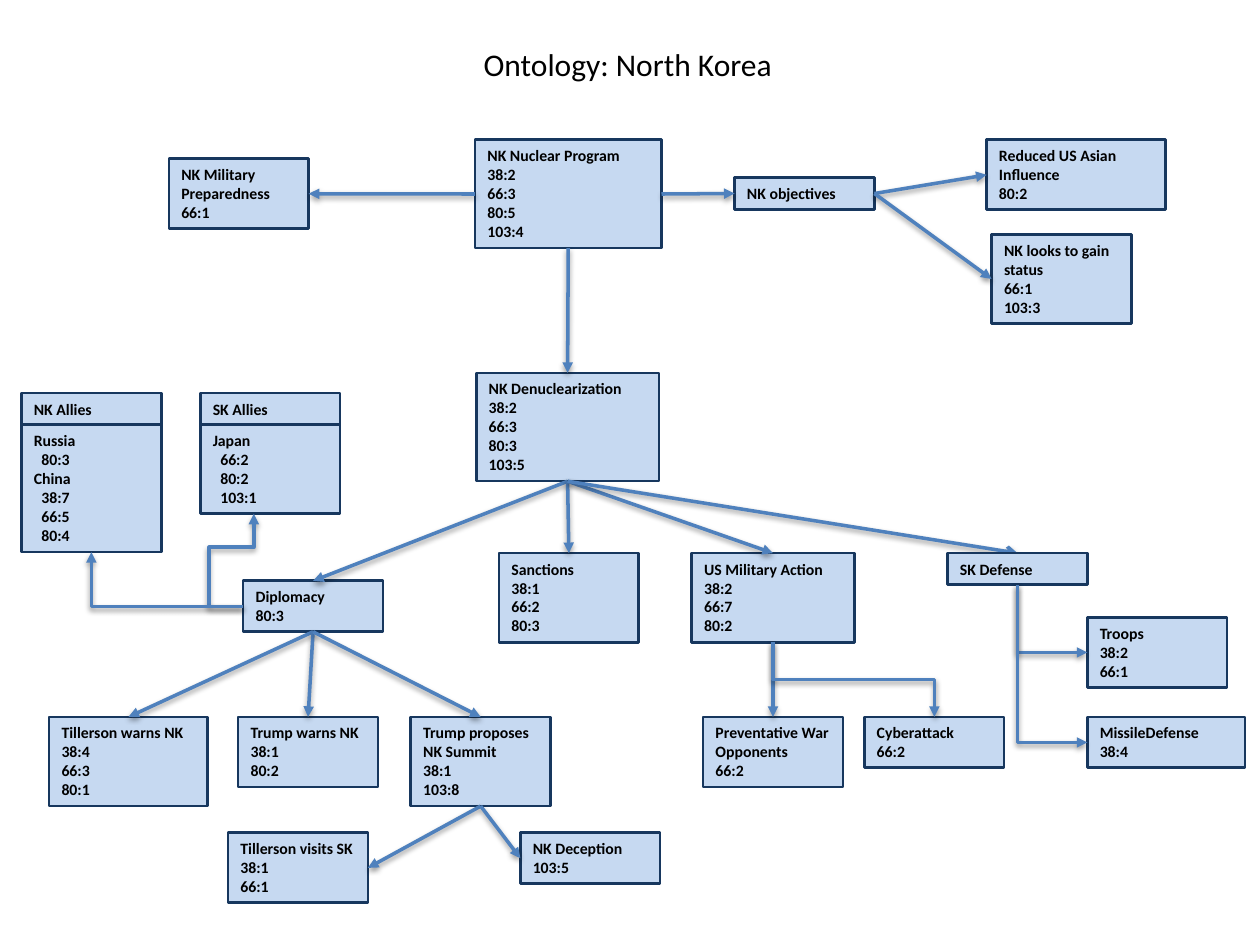
from lxml import etree
from pptx import Presentation
from pptx import util as u
from pptx.dml.color import RGBColor
from pptx.enum import shapes, text
from pptx.oxml import parse_xml
from pptx.oxml.ns import nsdecls, qn

NODE_FILL = RGBColor(0xC6, 0xD9, 0xF1)
NODE_LINE = RGBColor(0x17, 0x37, 0x5E)
ARROW = RGBColor(0x4F, 0x81, 0xBD)
BLACK = RGBColor(0, 0, 0)
FONT = "Calibri"
NODE_WIDTH = 1.11
TOP, LEFT, BOTTOM, RIGHT = range(4)
SHADOW = (
    f'<a:effectLst {nsdecls("a")}><a:outerShdw blurRad="40000" dist="20000" dir="5400000" '
    'rotWithShape="0"><a:srgbClr val="000000"><a:alpha val="38000"/></a:srgbClr>'
    '</a:outerShdw></a:effectLst>'
)


def format_text(text_frame, size, bold):
    for paragraph in text_frame.paragraphs:
        paragraph.alignment = text.PP_ALIGN.LEFT
        for run in paragraph.runs:
            run.font.name = FONT
            run.font.size = u.Pt(size)
            run.font.bold = bold
            run.font.color.rgb = BLACK


def add_node(slide, left, top, lines, width=NODE_WIDTH, wrapped=0, indented=False):
    """Add a box as tall as its lines; wrapped counts extra lines made by wrapping."""
    height = 0.1 + 0.152 * (len(lines) + wrapped)
    node = slide.shapes.add_shape(
        shapes.MSO_SHAPE.RECTANGLE,
        u.Inches(left), u.Inches(top), u.Inches(width), u.Inches(height))
    node.shadow.inherit = False
    node.fill.solid()
    node.fill.fore_color.rgb = NODE_FILL
    node.line.color.rgb = NODE_LINE
    node.line.width = u.Pt(1.5)
    frame = node.text_frame
    frame.word_wrap = True
    frame.auto_size = text.MSO_AUTO_SIZE.SHAPE_TO_FIT_TEXT
    frame.vertical_anchor = text.MSO_ANCHOR.TOP
    frame.text = "\n".join(lines)
    if indented:
        for paragraph in frame.paragraphs:
            if ":" in paragraph.text:
                paragraph._p.get_or_add_pPr().set("marL", str(u.Inches(0.06)))
    format_text(frame, 9, True)
    return node


def style_arrow(connector, head="triangle"):
    connector.line.color.rgb = ARROW
    connector.line.width = u.Pt(2)
    properties = connector._element.spPr
    etree.SubElement(properties.find(qn("a:ln")), qn("a:tailEnd"), type=head)
    properties.append(parse_xml(SHADOW))


def link(slide, source, target, source_side=BOTTOM, target_side=TOP, head="triangle"):
    connector = slide.shapes.add_connector(shapes.MSO_CONNECTOR.STRAIGHT, 0, 0, 0, 0)
    connector.begin_connect(source, source_side)
    connector.end_connect(target, target_side)
    style_arrow(connector, head)
    return connector


def side_point(node, side):
    x = {LEFT: 0, RIGHT: node.width}.get(side, node.width // 2)
    y = {TOP: 0, BOTTOM: node.height}.get(side, node.height // 2)
    return node.left + x, node.top + y


def add_elbow(slide, start, end, preset, rotation, flipped, adjustments=()):
    """Add a bent arrow; at 270 degrees its frame is stored with the sides swapped."""
    width, height = abs(end[0] - start[0]), abs(end[1] - start[1])
    center_x, center_y = (start[0] + end[0]) // 2, (start[1] + end[1]) // 2
    if rotation == 270:
        width, height = height, width
    left, top = center_x - width // 2, center_y - height // 2
    connector = slide.shapes.add_connector(
        shapes.MSO_CONNECTOR.ELBOW, left, top, left + width, top + height)
    transform = connector._element.spPr.find(qn("a:xfrm"))
    transform.set("rot", str(rotation * 60000))
    if flipped:
        transform.set("flipH", "1")
    geometry = connector._element.spPr.find(qn("a:prstGeom"))
    geometry.set("prst", preset)
    guides = geometry.find(qn("a:avLst"))
    for number, value in enumerate(adjustments, 1):
        name = f"adj{number}"
        etree.SubElement(guides, qn("a:gd"), name=name, fmla=f"val {round(value * 100000)}")
    style_arrow(connector)


def add_title(slide, left, top):
    box = slide.shapes.add_textbox(
        u.Inches(left), u.Inches(top), u.Inches(2.53), u.Inches(0.4))
    box.text_frame.word_wrap = False
    box.text_frame.auto_size = text.MSO_AUTO_SIZE.SHAPE_TO_FIT_TEXT
    box.text_frame.text = "Ontology: North Korea"
    format_text(box.text_frame, 18, False)


def add_program(slide, left, top):
    program = add_node(slide, left + 2.43, top,
                       ["NK Nuclear Program", "38:2", "66:3", "80:5", "103:4"], 1.48)
    military = add_node(slide, left, top + 0.15,
                        ["NK Military Preparedness", "66:1"], wrapped=1)
    objectives = add_node(slide, left + 4.49, top + 0.3, ["NK objectives"])
    influence = add_node(slide, left + 6.49, top,
                         ["Reduced US Asian Influence", "80:2"], 1.42, wrapped=1)
    status = add_node(slide, left + 6.53, top + 0.75,
                      ["NK looks to gain status", "66:1", "103:3"], wrapped=1)
    link(slide, program, military, LEFT, RIGHT)
    link(slide, program, objectives, RIGHT, LEFT)
    for outcome in (influence, status):
        link(slide, objectives, outcome, RIGHT, LEFT)
    return program


def add_allies(slide, left, top, heading, lines):
    add_node(slide, left, top, [heading])
    return add_node(slide, left, top + 0.25, lines, indented=True)


def add_diplomacy(slide, left, top, nk_allies, sk_allies):
    diplomacy = add_node(slide, left + 1.54, top, ["Diplomacy", "80:3"])
    row = top + 1.08
    warning = add_node(slide, left, row,
                       ["Tillerson warns NK", "38:4", "66:3", "80:1"], 1.26)
    threat = add_node(slide, left + 1.5, row, ["Trump warns NK", "38:1", "80:2"])
    summit = add_node(slide, left + 2.87, row,
                      ["Trump proposes NK Summit", "38:1", "103:8"], wrapped=1)
    visit = add_node(slide, left + 1.42, top + 2,
                     ["Tillerson visits SK", "38:1", "66:1"])
    deception = add_node(slide, left + 3.74, top + 2, ["NK Deception", "103:5"])
    for action in (warning, threat, summit):
        link(slide, diplomacy, action)
    link(slide, summit, visit, BOTTOM, RIGHT)
    link(slide, summit, deception, BOTTOM, LEFT)
    start = side_point(diplomacy, LEFT)
    sk_x, sk_y = side_point(sk_allies, BOTTOM)
    add_elbow(slide, start, (sk_x - u.Inches(0.13), sk_y),
              "bentConnector4", 180, True, (-3.17, 0.64))
    add_elbow(slide, start, side_point(nk_allies, BOTTOM), "bentConnector2", 180, False)
    return diplomacy


def add_us_action(slide, left, top):
    action = add_node(slide, left, top,
                      ["US Military Action", "38:2", "66:7", "80:2"], 1.29)
    war = add_node(slide, left + 0.09, top + 1.3,
                   ["Preventative War Opponents", "66:2"], wrapped=1)
    cyberattack = add_node(slide, left + 1.37, top + 1.3, ["Cyberattack", "66:2"])
    link(slide, action, war)
    add_elbow(slide, side_point(action, BOTTOM), side_point(cyberattack, TOP),
              "bentConnector3", 270, True, (0.5,))
    return action


def add_sk_defense(slide, left, top):
    defense = add_node(slide, left, top, ["SK Defense"])
    troops = add_node(slide, left + 1.11, top + 0.51, ["Troops", "38:2", "66:1"])
    missiles = add_node(slide, left + 1.11, top + 1.3, ["MissileDefense", "38:4"], 1.25)
    for force in (troops, missiles):
        add_elbow(slide, side_point(defense, BOTTOM), side_point(force, LEFT),
                  "bentConnector2", 270, True)
    return defense


def main():
    presentation = Presentation()
    presentation.slide_width, presentation.slide_height = u.Inches(10), u.Inches(7.5)
    slide = presentation.slides.add_slide(presentation.slide_layouts[6])
    add_title(slide, 3.74, 0.31)
    program = add_program(slide, 1.34, 1.11)
    denuclearization = add_node(
        slide, 3.78, 2.96, ["NK Denuclearization", "38:2", "66:3", "80:3", "103:5"], 1.45)
    link(slide, program, denuclearization)
    nk_allies = add_allies(slide, 0.17, 3.12, "NK Allies",
                           ["Russia", "80:3", "China", "38:7", "66:5", "80:4"])
    sk_allies = add_allies(slide, 1.59, 3.12, "SK Allies",
                           ["Japan", "66:2", "80:2", "103:1"])
    diplomacy = add_diplomacy(slide, 0.39, 4.61, nk_allies, sk_allies)
    sanctions = add_node(slide, 3.96, 4.39, ["Sanctions", "38:1", "66:2", "80:3"])
    us_action = add_us_action(slide, 5.49, 4.39)
    for measure in (diplomacy, sanctions, us_action):
        link(slide, denuclearization, measure)
    defense = add_sk_defense(slide, 7.52, 4.39)
    defense_link = link(slide, denuclearization, defense, head="arrow")
    defense._element.addprevious(defense_link._element)  # the box covers the arrowhead
    presentation.save("out.pptx")


if __name__ == "__main__":
    main()
